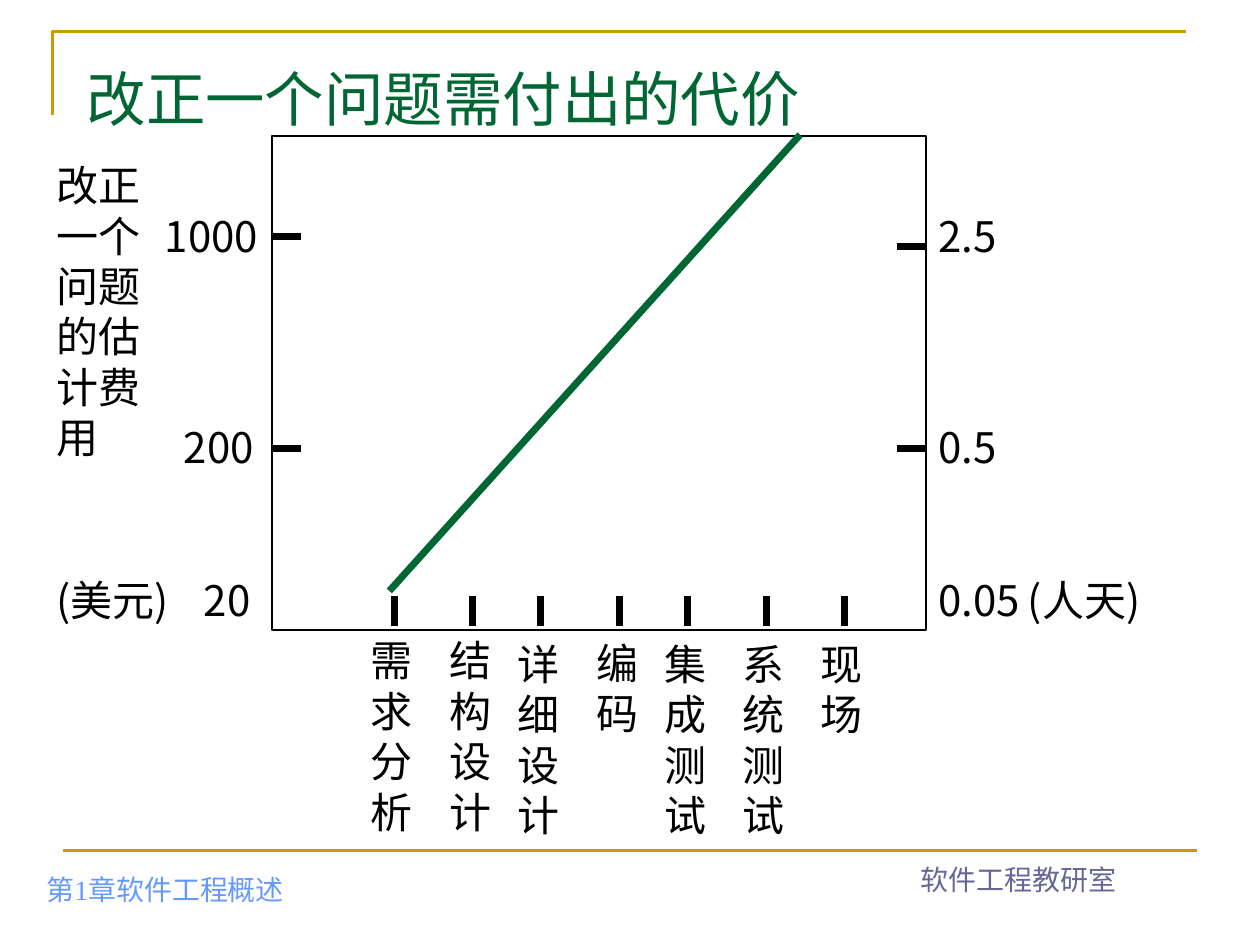
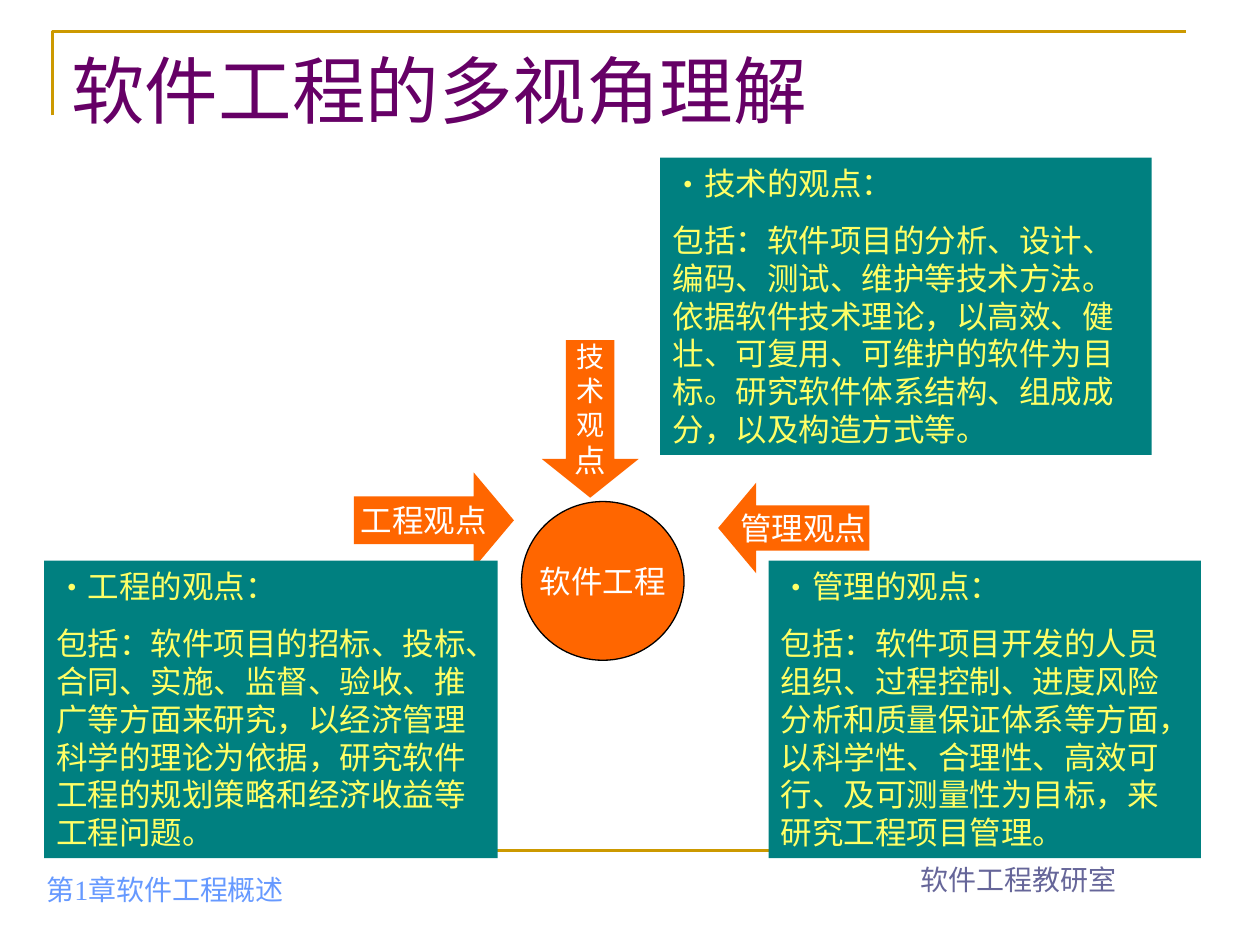
from dataclasses import dataclass

import pptx
import pptx.dml.color
import pptx.enum.shapes
import pptx.enum.text
import pptx.oxml.ns
import pptx.util
from lxml import etree

Pt = pptx.util.Pt
SHAPE = pptx.enum.shapes.MSO_SHAPE
ALIGN = pptx.enum.text.PP_ALIGN
ANCHOR = pptx.enum.text.MSO_ANCHOR
qn = pptx.oxml.ns.qn


@dataclass(frozen=True)
class Theme:
    # Fonts
    sans: str = "Noto Sans CJK SC"
    serif: str = "Times New Roman"
    # Colours
    gold: str = "CC9900"
    green: str = "006633"
    purple: str = "660066"
    chapter: str = "6699FF"
    department: str = "666699"
    orange: str = "FF6600"
    teal: str = "008080"
    yellow: str = "FFFF66"
    white: str = "FFFFFF"
    black: str = "000000"
    # Type sizes
    large_title: float = 42
    title: float = 34
    axis: float = 24
    body: float = 18
    small: float = 16
    # Spacing and line widths
    paragraph_gap: float = 11.2
    bullet_indent: float = 18
    rule: float = 1.5
    heavy: float = 4


class Deck:
    """Holds the theme and the current slide; all lengths are in points."""

    def __init__(self, theme):
        self.theme = theme
        self.presentation = pptx.Presentation()
        self.presentation.slide_width = Pt(720)
        self.presentation.slide_height = Pt(540)
        self.slide = None

    def rgb(self, colour):
        return pptx.dml.color.RGBColor.from_string(colour)

    def new_slide(self, title, left, top, width, height, size, colour):
        layout = self.presentation.slide_layouts[6]
        self.slide = self.presentation.slides.add_slide(layout)
        t = self.theme
        # Corner rule, bottom rule and footers
        builder = self.slide.shapes.build_freeform(Pt(30), Pt(66))
        builder.add_line_segments([(Pt(30), Pt(18)), (Pt(678), Pt(18))], close=False)
        self.paint(builder.convert_to_shape(), None, t.gold, t.rule)
        self.line(36, 486, 684, 486, t.gold, t.rule)
        self.text("第1章软件工程概述", 19.5, 485.3, 226.8, 36, t.small, t.chapter,
                  t.serif, anchor=ANCHOR.BOTTOM)
        self.text("软件工程教研室", 468, 479.5, 228.2, 36, t.small, t.department,
                  t.serif, ALIGN.CENTER, ANCHOR.BOTTOM)
        self.text(title, left, top, width, height, size, colour)

    def paint(self, shape, fill, line=None, width=1):
        shape.shadow.inherit = False
        if fill:
            shape.fill.solid()
            shape.fill.fore_color.rgb = self.rgb(fill)
        else:
            shape.fill.background()
        if line:
            shape.line.color.rgb = self.rgb(line)
            shape.line.width = Pt(width)
        else:
            shape.line.fill.background()

    def format(self, paragraph, size, colour, font, align=ALIGN.LEFT):
        paragraph.alignment = align
        for run in paragraph.runs:
            run.font.size = Pt(size)
            run.font.name = font
            run.font.color.rgb = self.rgb(colour)
            east_asian = etree.Element(qn("a:ea"), typeface=self.theme.sans)
            run.font._element.find(qn("a:latin")).addnext(east_asian)

    def text(self, words, left, top, width, height, size, colour, font=None,
             align=ALIGN.LEFT, anchor=ANCHOR.TOP):
        box = self.slide.shapes.add_textbox(Pt(left), Pt(top), Pt(width), Pt(height))
        frame = box.text_frame
        frame.word_wrap = True
        frame.vertical_anchor = anchor
        frame.text = words
        self.format(frame.paragraphs[0], size, colour, font or self.theme.sans, align)

    def axis_label(self, words, left, top, width, height=36):
        self.text(words, left, top, width, height, self.theme.axis, self.theme.black)

    def line(self, x1, y1, x2, y2, colour, width):
        connector = self.slide.shapes.add_connector(
            pptx.enum.shapes.MSO_CONNECTOR.STRAIGHT, Pt(x1), Pt(y1), Pt(x2), Pt(y2))
        connector.line.color.rgb = self.rgb(colour)
        connector.line.width = Pt(width)
        etree.SubElement(connector._element.spPr, qn("a:effectLst"))

    def shape(self, kind, left, top, width, height, fill, line=None, line_width=1):
        shape = self.slide.shapes.add_shape(
            kind, Pt(left), Pt(top), Pt(width), Pt(height))
        self.paint(shape, fill, line, line_width)
        return shape

    def label_shape(self, kind, words, left, top, width, height, sizes,
                    head=None, outline=None):
        """Orange shape with one centred line of words for each size."""
        shape = self.shape(kind, left, top, width, height, self.theme.orange,
                           outline, 0.75)
        if head:
            shape.adjustments[1] = head
        frame = shape.text_frame
        frame.word_wrap = False
        frame.vertical_anchor = ANCHOR.MIDDLE
        frame.text = words
        for paragraph, size in zip(frame.paragraphs, sizes):
            self.format(paragraph, size, self.theme.white, self.theme.serif, ALIGN.CENTER)

    def viewpoint(self, heading, details, left, top, width):
        t = self.theme
        panel = self.shape(SHAPE.RECTANGLE, left, top, width, 170, t.teal)
        frame = panel.text_frame
        frame.word_wrap = True
        frame.vertical_anchor = ANCHOR.TOP
        frame.text = f"{heading}\n{details}"
        first, second = frame.paragraphs
        properties = first._p.get_or_add_pPr()
        properties.set("marL", str(Pt(t.bullet_indent)))
        properties.set("indent", str(-Pt(t.bullet_indent)))
        etree.SubElement(properties, qn("a:buFont"), typeface=t.sans)
        etree.SubElement(properties, qn("a:buChar"), char="•")
        second.space_before = Pt(t.paragraph_gap)
        for paragraph in frame.paragraphs:
            self.format(paragraph, t.body, t.yellow, t.sans)


def cost_slide(deck):
    t = deck.theme
    deck.new_slide("改正一个问题需付出的代价", 42.5, 31.7, 489.6, 40.3, t.title, t.green)

    # Plot frame
    left, top, width, height = 155.5, 77.8, 373.7, 282.2
    right, bottom = left + width, top + height
    tick = 16.5
    deck.shape(SHAPE.RECTANGLE, left, top, width, height, None, t.black)

    # Development stages: name, tick position, label top
    stages = [("需求分析", 225.4, 359.3), ("结构设计", 270, 359.3),
              ("详细设计", 308.9, 361.4), ("编码", 354.2, 360.7),
              ("集成测试", 393.1, 361.4), ("系统测试", 437.8, 361.4),
              ("现场", 482.4, 361.4)]
    for stage, x, label_top in stages:
        deck.axis_label(stage, x - 20.5, label_top, 46, 7.2 + 28.8 * len(stage))
        deck.line(x, bottom - 19.4, x, bottom - 2.2, t.black, t.heavy)

    # Cost axis and effort axis
    deck.axis_label("改正一个问题的估计费用", 25.2, 87.8, 74.2, 180)
    for value, x, y, box_width in [
            ("1000", 87.1, 116.6, 79.2), ("200", 97.9, 237.6, 68.4),
            ("20", 109.4, 324.7, 68.4), ("(美元)", 25.2, 324.7, 107.3),
            ("2.5", right, 116.6, 68.4), ("0.5", right, 237.6, 74.2),
            ("0.05", right, 324.7, 79.2), ("(人天)", 580.3, 324.7, 106.6)]:
        deck.axis_label(value, x, y, box_width)
    for y in (135.4, 256.3):
        deck.line(left, y, left + tick, y, t.black, t.heavy)
    for y in (141.1, 256.3):
        deck.line(right - tick, y, right, y, t.black, t.heavy)

    # Rising cost
    deck.line(222.5, 337.7, 457.2, 77, t.green, t.heavy)


def viewpoints_slide(deck):
    t = deck.theme
    deck.new_slide("软件工程的多视角理解", 33.8, 22.3, 511.2, 56.2,
                   t.large_title, t.purple)

    # Core and the arrows that point to it
    deck.label_shape(SHAPE.OVAL, "软件工程", 298, 286.6, 92.9, 90.7, [t.body],
                     outline=t.black)
    deck.label_shape(SHAPE.RIGHT_ARROW, "工程观点", 202.3, 270, 91.4, 54.7,
                     [t.body], 0.42)
    deck.label_shape(SHAPE.LEFT_ARROW, "管理观点", 410.4, 275.8, 86.4, 51.8,
                     [t.body], 0.42)
    deck.label_shape(SHAPE.DOWN_ARROW, "技\n术\n观\n点", 309.6, 194.4, 55.4, 90,
                     [t.small] * 3 + [t.body], 0.4)

    # Explanations
    deck.viewpoint("工程的观点：",
                   "包括：软件项目的招标、投标、合同、实施、监督、验收、推广等方面来研究，"
                   "以经济管理科学的理论为依据，研究软件工程的规划策略和经济收益等工程问题。",
                   25.2, 320.4, 259.2)
    deck.viewpoint("管理的观点：",
                   "包括：软件项目开发的人员组织、过程控制、进度风险分析和质量保证体系等方面，"
                   "以科学性、合理性、高效可行、及可测量性为目标，来研究工程项目管理。",
                   439.2, 320.4, 247)
    deck.viewpoint("技术的观点：",
                   "包括：软件项目的分析、设计、编码、测试、维护等技术方法。"
                   "依据软件技术理论，以高效、健壮、可复用、可维护的软件为目标。"
                   "研究软件体系结构、组成成分，以及构造方式等。",
                   377.3, 90, 280.8)


def main():
    deck = Deck(Theme())
    cost_slide(deck)
    viewpoints_slide(deck)
    deck.presentation.save("out.pptx")


if __name__ == "__main__":
    main()
